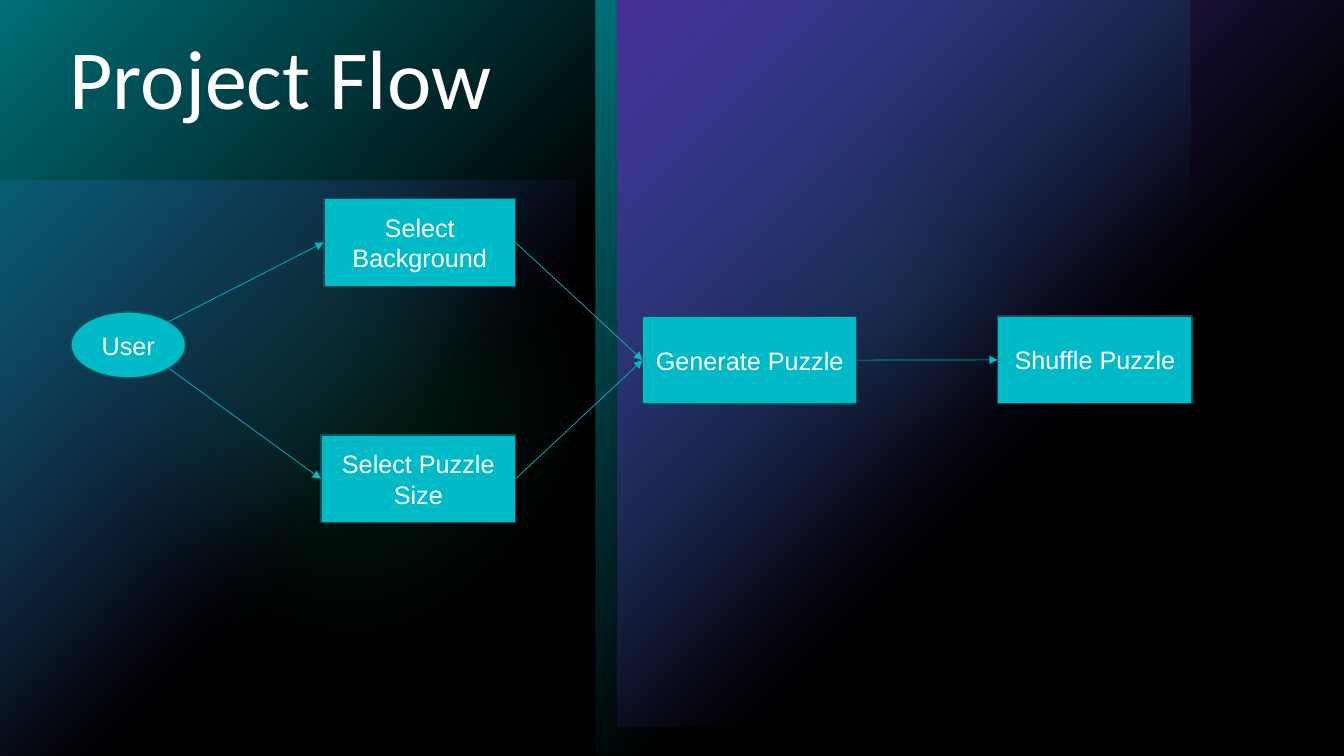
"""Build the Project Flow slide: a glowing backdrop and a small flow chart."""
import math

import lxml.etree
import pptx
import pptx.dml.color
import pptx.enum.shapes
import pptx.enum.text
import pptx.oxml.ns
import pptx.util

Pt = pptx.util.Pt
qn = pptx.oxml.ns.qn
Kind = pptx.enum.shapes.MSO_SHAPE
Anchor = pptx.enum.text.MSO_ANCHOR
Align = pptx.enum.text.PP_ALIGN
TEAL, VIOLET, GREEN = "00BAC8", "794DFF", "00D17D"
BLACK, WHITE, EDGE = "000000", "FFFFFF", "005258"


def color(text):
    return pptx.dml.color.RGBColor.from_string(text)


def add(parent, tag, **attrs):
    node = lxml.etree.SubElement(parent, qn(tag))
    for key, value in attrs.items():
        node.set(key, str(value))
    return node


class Deck:
    """Holds the style and the current slide."""

    def __init__(self):
        self.show = pptx.Presentation()
        self.show.slide_width, self.show.slide_height = Pt(960), Pt(540)
        self.slide = self.show.slides.add_slide(self.show.slide_layouts[6])
        back = self.slide.background.fill
        back.solid()
        back.fore_color.rgb = color(BLACK)

    def shape(self, kind, area, fill):
        item = self.slide.shapes.add_shape(kind, *map(Pt, area))
        item.shadow.inherit = False
        item.fill.solid()
        item.fill.fore_color.rgb = color(fill)
        item.line.fill.background()
        return item

    def veil(self, kind, area, fill, alpha, blur=0):
        item = self.shape(kind, area, fill)
        props = item.element.spPr
        tint = props.find(qn("a:solidFill")).find(qn("a:srgbClr"))
        add(tint, "a:alpha", val=alpha * 1000)
        if blur:
            add(props.find(qn("a:effectLst")), "a:softEdge", rad=int(Pt(blur)))

    def fade(self, area, fill, alpha=100):
        item = self.shape(Kind.RECTANGLE, area, fill)
        item.fill.gradient()
        item.fill.gradient_angle = 315
        stops = item.element.spPr.find(qn("a:gradFill")).find(qn("a:gsLst"))
        for old in list(stops):
            stops.remove(old)
        for place, share in ((0, alpha), (60, 0)):
            stop = add(stops, "a:gs", pos=place * 1000)
            tint = add(stop, "a:srgbClr", val=fill)
            add(tint, "a:alpha", val=share * 1000)

    def label(self, frame, text, font, size, align):
        frame.word_wrap = True
        frame.vertical_anchor = Anchor.MIDDLE
        frame.text = text
        line = frame.paragraphs[0]
        line.alignment = align
        for run in line.runs:
            run.font.name, run.font.size = font, Pt(size)
            run.font.color.rgb = color(WHITE)
        return line

    def title(self, area, text):
        box = self.slide.shapes.add_textbox(*map(Pt, area))
        line = self.label(box.text_frame, text, "Calibri", 60, Align.LEFT)
        line.line_spacing = 0.9

    def node(self, area, text, kind=Kind.RECTANGLE):
        item = self.shape(kind, area, TEAL)
        item.line.color.rgb = color(EDGE)
        item.line.width = Pt(1)
        self.label(item.text_frame, text, "Arial", 18, Align.CENTER)

    def arrow(self, start, end):
        kind = pptx.enum.shapes.MSO_CONNECTOR.STRAIGHT
        link = self.slide.shapes.add_connector(kind, *map(Pt, start + end))
        link.line.color.rgb = color(TEAL)
        link.line.width = Pt(0.5)
        props = link.element.spPr if hasattr(link, "element") else None
        add(props.find(qn("a:ln")), "a:tailEnd", type="triangle")
        add(props, "a:effectLst")


def left(area):
    x, y, wide, high = area
    return x, y + high / 2


def right(area):
    x, y, wide, high = area
    return x + wide, y + high / 2


def rim(area, turn):
    x, y, wide, high = area
    angle = math.radians(turn)
    return (x + wide / 2 * (1 + math.cos(angle)),
            y + high / 2 * (1 + math.sin(angle)))


def main():
    deck = Deck()
    deck.fade((0, 129.3, 411, 411), VIOLET, 60)
    deck.veil(Kind.OVAL, (453, 31, 340, 340), GREEN, 60, 100)
    deck.veil(Kind.OVAL, (0, 40, 500, 500), GREEN, 20, 100)
    for x in (0, 425.3):
        deck.fade((x, 0, 425.3, 540), TEAL)
    deck.fade((441, 0, 519, 519), VIOLET)
    deck.veil(Kind.RECTANGLE, (0, 0, 960, 540), BLACK, 40)
    deck.title((42.5, 19.5, 708, 79), "Project Flow")

    scene = (231.3, 141.7, 137, 63)
    size = (229.3, 310.8, 139, 62.5)
    mix = (712.6, 225.8, 139, 62.5)
    user = (50.6, 222.8, 82, 47.2)
    make = (459, 226, 153, 62.5)
    deck.node(scene, "Select Background")
    deck.node(size, "Select Puzzle Size")
    deck.node(mix, "Shuffle Puzzle")
    deck.node(user, "User", Kind.OVAL)
    deck.node(make, "Generate Puzzle")

    for area, turn in ((size, 45), (scene, -45)):
        deck.arrow(rim(user, turn), left(area))
        deck.arrow(right(area), left(make))
    deck.arrow(right(make), left(mix))
    deck.show.save("out.pptx")


if __name__ == "__main__":
    main()
